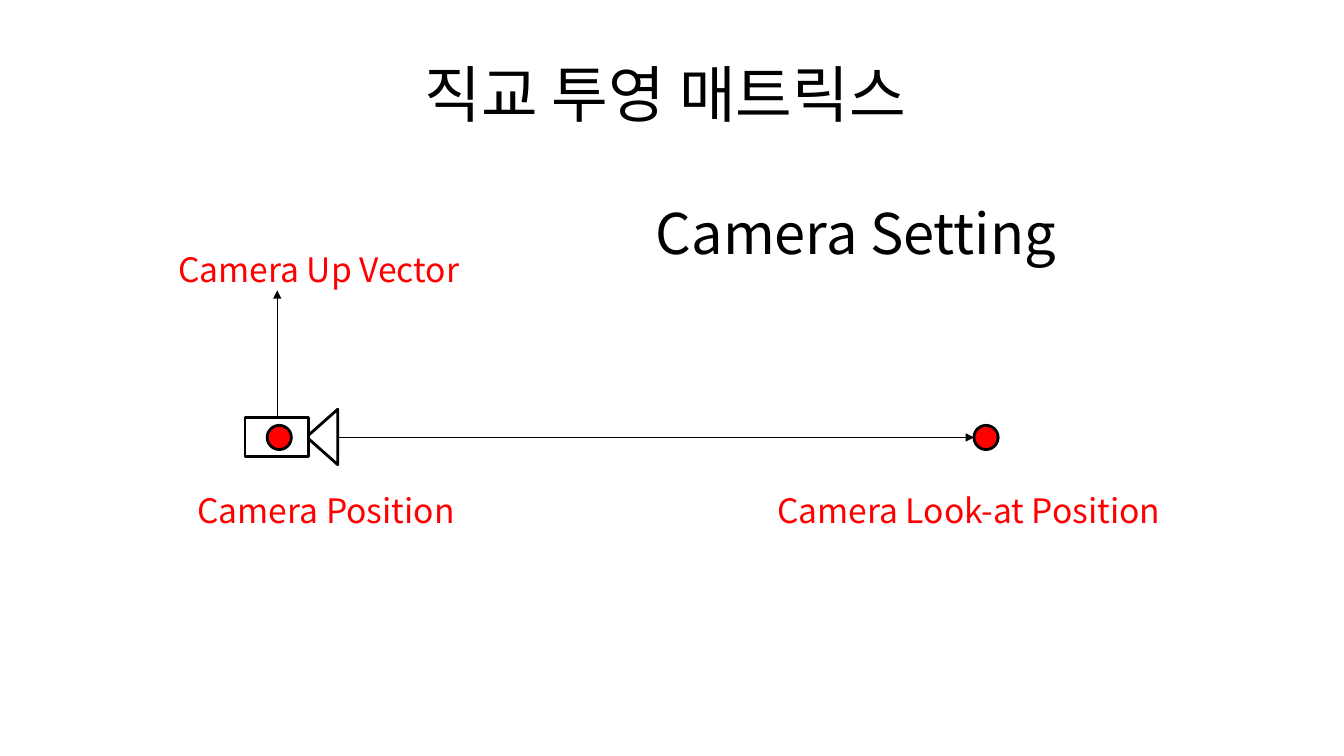
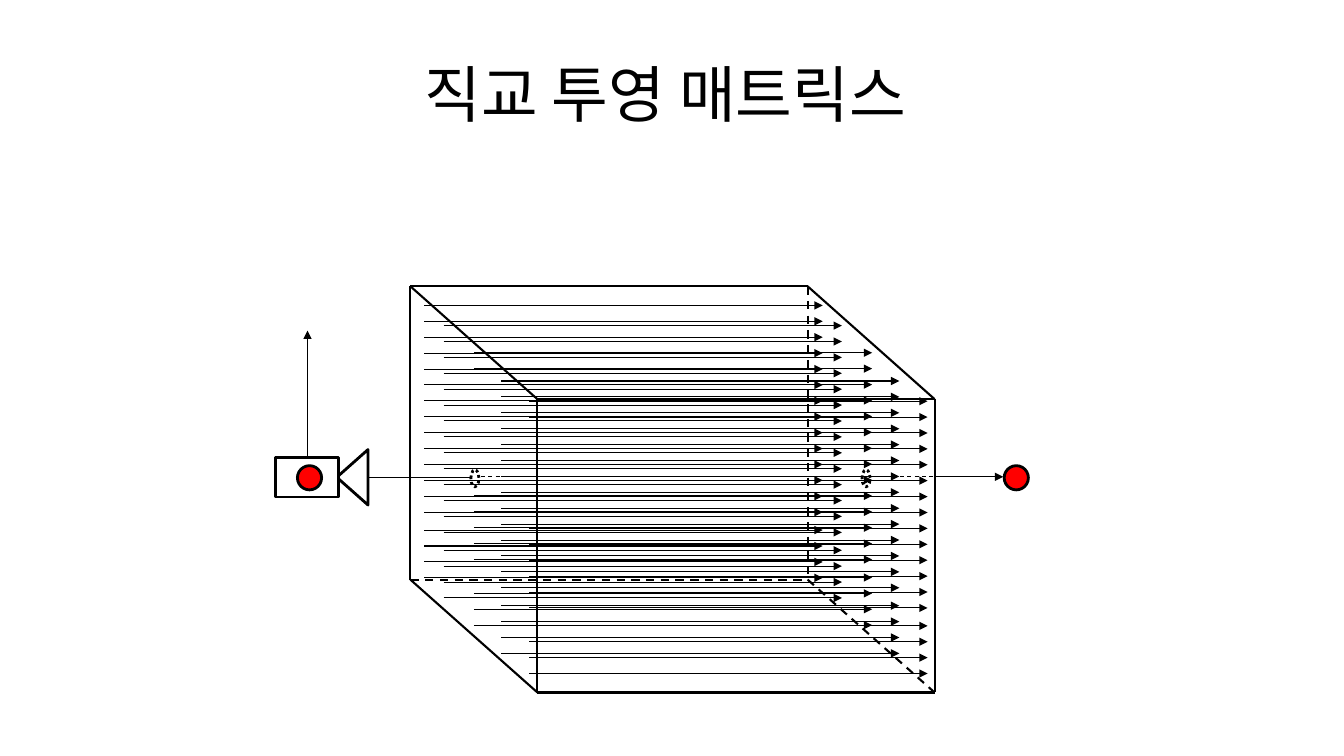
"""Build two slides on the camera and view box of an orthographic projection."""
import itertools
import pptx
import pptx.util
import pptx.dml.color
import pptx.enum.dml
import pptx.enum.shapes
import pptx.enum.text
import lxml.etree

INK = {"black": "000000", "white": "FFFFFF", "red": "FF0000"}
FONT = "Noto Sans CJK KR"
NS = "{http://schemas.openxmlformats.org/drawingml/2006/main}"
TITLE = "직교 투영 매트릭스 "
RGB = pptx.dml.color.RGBColor.from_string
INCH = pptx.util.Inches
DASH = pptx.enum.dml.MSO_LINE
FORM = pptx.enum.shapes.MSO_SHAPE
ALIGN = pptx.enum.text.PP_ALIGN


def write(box, text, size=24, ink="red", align=ALIGN.LEFT):
    frame = box.text_frame
    frame.word_wrap = True
    para = frame.paragraphs[0]
    para.alignment = align
    run = para.add_run()
    run.text = text
    run.font.size = pptx.util.Pt(size)
    run.font.name = FONT
    run.font.color.rgb = RGB(INK[ink])
    lxml.etree.SubElement(run.font._element, NS + "ea", typeface=FONT)


def draw(slide, start, end, width=0.75, dash=None, arrow=False):
    line = slide.shapes.add_connector(
        pptx.enum.shapes.MSO_CONNECTOR.STRAIGHT, *map(INCH, (*start, *end)))
    line.line.color.rgb = RGB(INK["black"])
    line.line.width = pptx.util.Pt(width)
    if dash:
        line.line.dash_style = dash
    if arrow:
        lxml.etree.SubElement(line.line._get_or_add_ln(), NS + "tailEnd", type="triangle")
    lxml.etree.SubElement(line._element.spPr, NS + "effectLst")


deck = pptx.Presentation()
deck.slide_width, deck.slide_height = INCH(13.33), INCH(7.5)
slides = []
for _ in range(2):
    slide = deck.slides.add_slide(deck.slide_layouts[5])
    title = slide.shapes.title
    title.left, title.top, title.width, title.height = map(INCH, (0.67, 0.3, 12, 1.25))
    title.text_frame.vertical_anchor = pptx.enum.text.MSO_ANCHOR.MIDDLE
    write(title, TITLE, size=44, ink="black", align=ALIGN.CENTER)
    slides.append(slide)
setup, view = slides

labels = [
    ("Camera Position", (1.86, 4.81, 4.11, 0.5), {}),
    ("Camera Look-at Position", (7.61, 4.81, 4.11, 0.5), {}),
    ("Camera Up Vector", (1.67, 2.42, 4.11, 0.5), {}),
    ("Camera Setting", (5.64, 1.92, 5.7, 0.77),
     {"size": 40, "ink": "black", "align": ALIGN.CENTER}),
]
for text, place, style in labels:
    write(setup.shapes.add_textbox(*map(INCH, place)), text, **style)

draw(setup, (3.35, 4.34), (9.66, 4.34), arrow=True)
draw(view, (4.7, 4.73), (9.26, 4.73), dash=DASH.DASH)
draw(view, (3.66, 4.74), (4.75, 4.74))
draw(view, (9.26, 4.73), (9.95, 4.73), arrow=True)

left, top, wide, high = 4.07, 2.84, 3.94, 2.91
depth, drop = 1.26, 1.12
spots = {
    (col, row, near): (left + col * wide + near * depth, top + row * high + near * drop)
    for col, row, near in itertools.product((0, 1), repeat=3)
}
hidden = (1, 1, 0)
for one, two in itertools.combinations(spots, 2):
    if sum(a != b for a, b in zip(one, two)) == 1:
        draw(view, spots[one], spots[two], width=1.5,
             dash=DASH.DASH if hidden in (one, two) else None)

parts = [
    (FORM.ISOSCELES_TRIANGLE, 2.92, 4.18, 0.55, 0.31, "white", 270),
    (FORM.RECTANGLE, 2.43, 4.14, 0.63, 0.39, "white", 0),
    (FORM.OVAL, 2.65, 4.22, 0.24, 0.24, "red", 0),
    (FORM.OVAL, 9.66, 4.22, 0.24, 0.24, "red", 0),
]
rings = [(FORM.OVAL, x, 4.66, 0.08, 0.17, "white", 0) for x in (4.67, 8.55)]
for slide, right, down, extra in ((setup, 0, 0, []), (view, 0.3, 0.4, rings)):
    draw(slide, (2.75 + right, 4.14 + down), (2.75 + right, 2.88 + down), arrow=True)
    moved = [(form, x + right, y + down, *rest) for form, x, y, *rest in parts]
    for form, x, y, w, h, fill, turn in moved + extra:
        shape = slide.shapes.add_shape(form, *map(INCH, (x, y, w, h)))
        shape.shadow.inherit = False
        shape.rotation = turn
        shape.fill.solid()
        shape.fill.fore_color.rgb = RGB(INK[fill])
        shape.line.color.rgb = RGB(INK["black"])
        shape.line.width = pptx.util.Pt(2)
        if w < 0.1:
            shape.line.dash_style = DASH.ROUND_DOT

rows, step, gap = 18, 2.84 / 18, 0.02
for x, y in ((4.21, 3.03), (4.4, 3.23), (4.7, 3.5), (4.97, 3.78), (5.25, 3.98)):
    for row in range(rows):
        level = y + row * step + (gap if row > 13 else 0)
        draw(view, (x, level), (x + 3.95, level), arrow=True)

deck.save("out.pptx")
